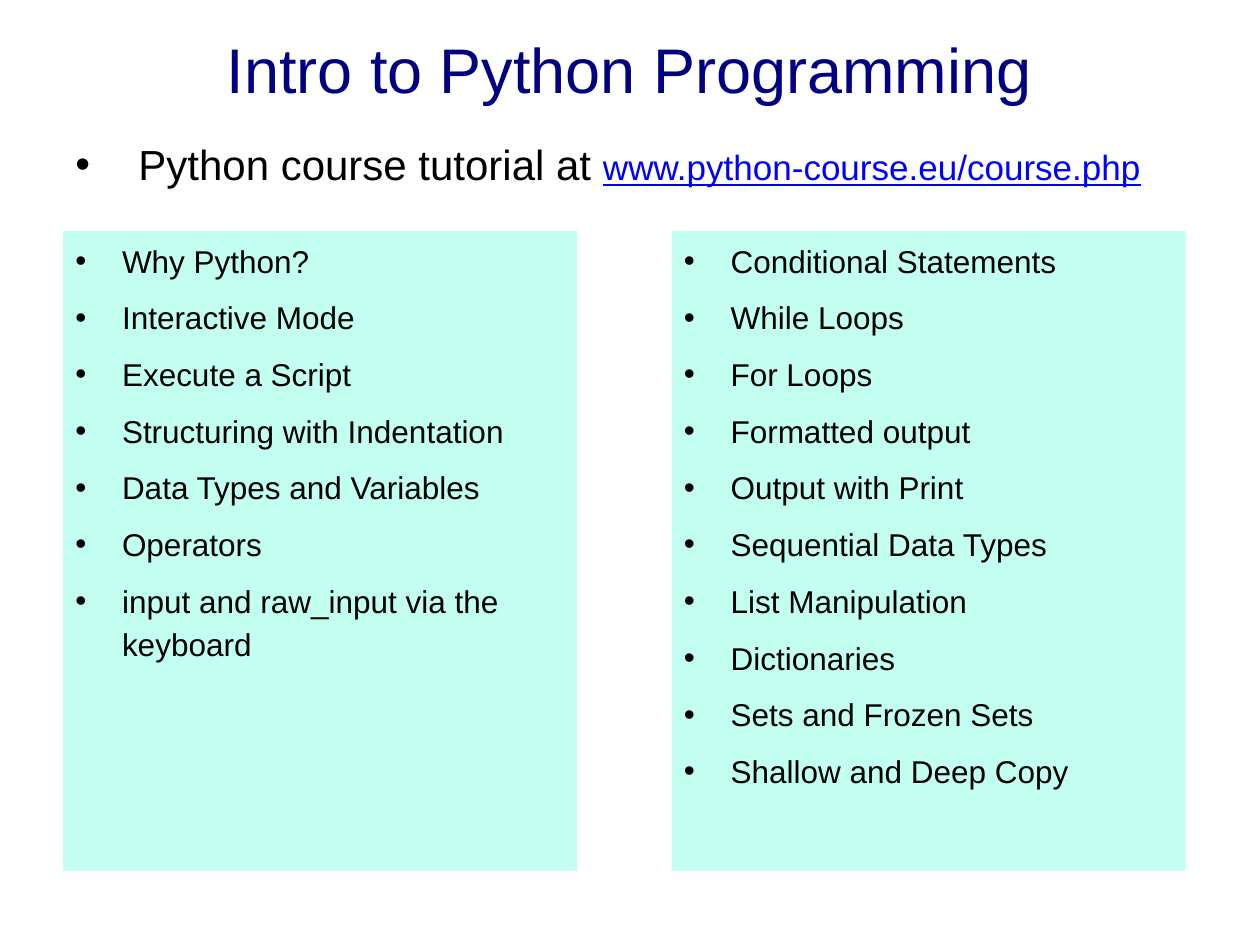
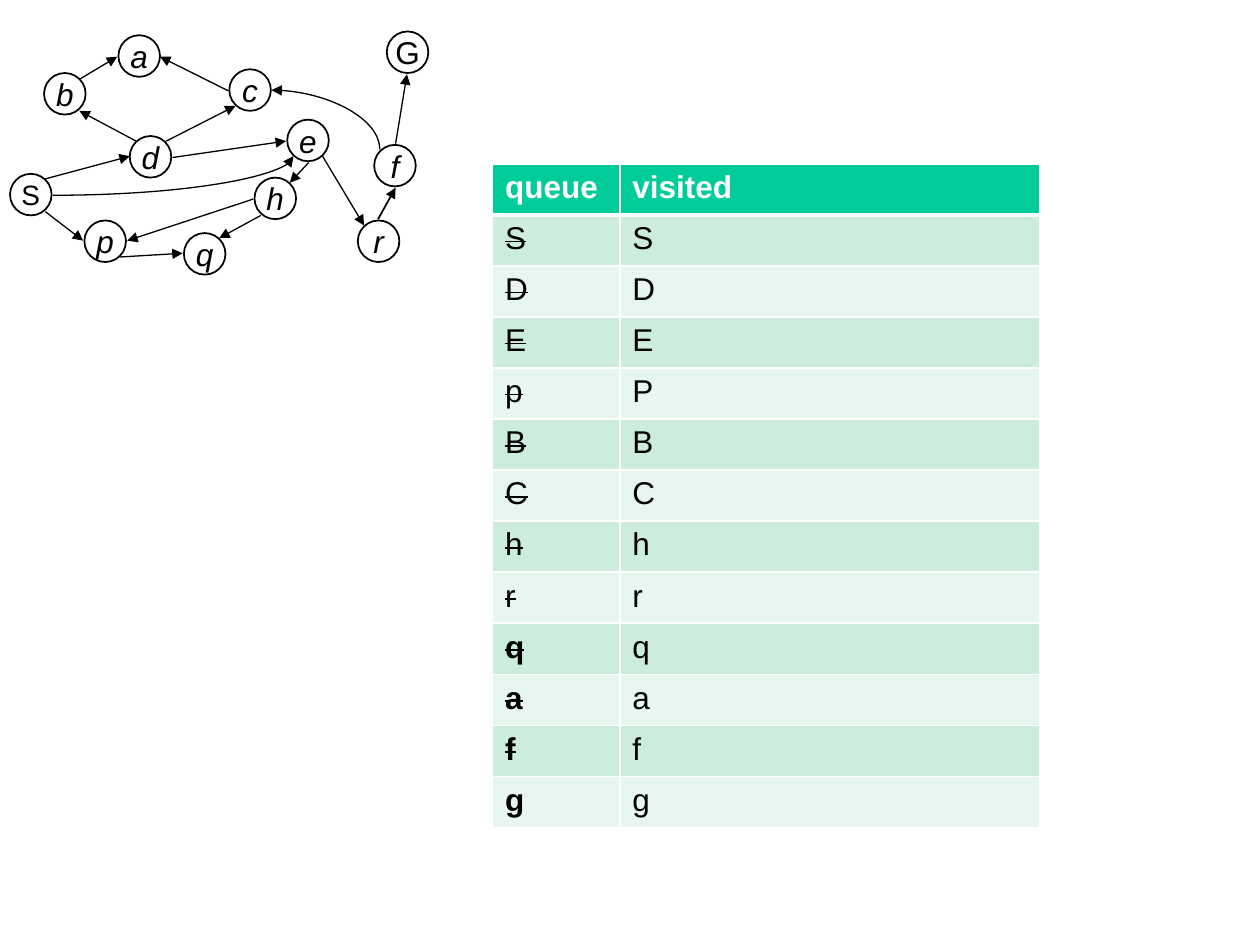
from lxml import etree
from pptx import Presentation, util as u
from pptx.dml.color import RGBColor
from pptx.enum import shapes, text
from pptx.oxml import ns

NAVY = RGBColor(0x00, 0x00, 0x80)
BLUE = RGBColor(0x00, 0x00, 0xFF)
BLACK = RGBColor(0x00, 0x00, 0x00)
WHITE = RGBColor(0xFF, 0xFF, 0xFF)
MINT = RGBColor(0xC2, 0xFF, 0xF0)
GREEN = RGBColor(0x00, 0xCC, 0x99)
BANDS = (RGBColor(0xCC, 0xEC, 0xDE), RGBColor(0xE7, 0xF6, 0xEF))
FONT = "Arial"
LINE_SPACING = 1.13
NODE = 0.33

TOPICS = (
    ("Why Python?", "Interactive Mode", "Execute a Script",
     "Structuring with Indentation", "Data Types and Variables", "Operators",
     "input and raw_input via the keyboard"),
    ("Conditional Statements", "While Loops", "For Loops", "Formatted output",
     "Output with Print", "Sequential Data Types", "List Manipulation",
     "Dictionaries", "Sets and Frozen Sets", "Shallow and Deep Copy"),
)
NODES = {
    "S": (0.08, 1.38), "G": (3.07, 0.25), "d": (1.03, 1.08), "b": (0.35, 0.58),
    "p": (0.67, 1.75), "q": (1.46, 1.85), "c": (1.82, 0.55), "e": (2.28, 0.95),
    "h": (2.02, 1.41), "a": (0.94, 0.28), "f": (2.97, 1.15), "r": (2.84, 1.75),
}
EDGES = (
    ((0.36, 1.68), (0.66, 1.91)),  # S to p
    ((0.95, 2.04), (1.45, 2.01)),  # p to q
    ((2.07, 1.71), (1.74, 1.89)),  # h to q
    ((2.01, 1.58), (1.01, 1.91)),  # h to p
    ((2.45, 1.29), (2.30, 1.45)),  # e to h
    ((2.56, 1.24), (2.89, 1.79)),  # e to r
    ((3.14, 1.14), (3.23, 0.59)),  # f to G
    ((0.36, 1.42), (1.03, 1.24)),  # S to d
    ((1.08, 1.12), (0.63, 0.88)),  # d to b
    ((0.63, 0.63), (0.93, 0.45)),  # b to a
    ((1.81, 0.72), (1.27, 0.45)),  # c to a
    ((1.32, 1.12), (1.87, 0.84)),  # d to c
    ((1.37, 1.25), (2.27, 1.12)),  # d to e
)
R_TO_F = ((3.00, 1.74), (3.14, 1.49))
QUEUE = "SDEpBChrqafg"
VISITED = "SDEPBChrqafg"


def add_xml(parent, tag, **attrs):
    return etree.SubElement(parent, ns.qn(tag), attrs)


def add_run(p, words, size=18, color=BLACK, bold=False, italic=False,
            underline=False, strike=False):
    r = p.add_run()
    r.text = words
    f = r.font
    f.name, f.size, f.bold, f.italic = FONT, u.Pt(size), bold, italic
    f.underline = underline
    f.color.rgb = color
    if strike:
        r._r.get_or_add_rPr().set("strike", "sngStrike")


def add_bullet(p, indent):
    p.line_spacing = LINE_SPACING
    p.space_before = u.Pt(8)
    p.alignment = text.PP_ALIGN.LEFT
    pPr = p._p.get_or_add_pPr()
    pPr.set("marL", str(u.Inches(indent)))
    pPr.set("indent", str(-u.Inches(indent)))
    add_xml(add_xml(pPr, "a:buClr"), "a:srgbClr", val=str(BLACK))
    add_xml(pPr, "a:buFont", typeface=FONT)
    add_xml(pPr, "a:buChar", char="•")


def add_border(cell, side, width):
    ln = add_xml(cell._tc.get_or_add_tcPr(), "a:ln" + side, w=str(u.Pt(width)))
    add_xml(add_xml(ln, "a:solidFill"), "a:srgbClr", val=str(WHITE))


class Deck:
    """Holds the presentation, its style and the current slide."""

    def __init__(self):
        self.prs = Presentation()
        self.prs.slide_width, self.prs.slide_height = u.Inches(10), u.Inches(7.5)
        self.s = None

    def new_slide(self):
        self.s = self.prs.slides.add_slide(self.prs.slide_layouts[6])
        self.s.background.fill.solid()
        self.s.background.fill.fore_color.rgb = WHITE

    def text_box(self, x, y, w, h):
        tf = self.s.shapes.add_textbox(*map(u.Inches, (x, y, w, h))).text_frame
        tf.word_wrap = True
        return tf

    def title(self, words):
        tf = self.text_box(0.5, 0.17, 8.99, 0.67)
        tf.vertical_anchor = text.MSO_ANCHOR.MIDDLE
        p = tf.paragraphs[0]
        p.alignment = text.PP_ALIGN.CENTER
        p.line_spacing = LINE_SPACING
        add_run(p, words, size=36, color=NAVY)

    def link_line(self, words, address):
        p = self.text_box(0.5, 1, 8.99, 0.67).paragraphs[0]
        add_bullet(p, 0.5)
        add_run(p, words, size=24)
        add_run(p, address, size=20, color=BLUE, underline=True)

    def shape(self, kind, x, y, w, h):
        sp = self.s.shapes.add_shape(kind, *map(u.Inches, (x, y, w, h)))
        sp.shadow.inherit = False
        sp.fill.background()
        sp.line.fill.background()
        return sp

    def topic_panel(self, x, topics):
        sp = self.shape(shapes.MSO_SHAPE.RECTANGLE, x, 1.83, 4.08, 5.08)
        sp.fill.solid()
        sp.fill.fore_color.rgb = MINT
        tf = sp.text_frame
        tf.word_wrap = True
        tf.vertical_anchor = text.MSO_ANCHOR.TOP
        for i, topic in enumerate(topics):
            p = tf.add_paragraph() if i else tf.paragraphs[0]
            add_bullet(p, 0.37)
            add_run(p, topic)

    def node(self, name, x, y):
        sp = self.shape(shapes.MSO_SHAPE.FLOWCHART_CONNECTOR, x, y, NODE, NODE)
        sp.line.color.rgb = BLACK
        sp.line.width = u.Pt(1)
        tf = sp.text_frame
        tf.word_wrap = False
        tf.vertical_anchor = text.MSO_ANCHOR.MIDDLE
        p = tf.paragraphs[0]
        p.alignment = text.PP_ALIGN.CENTER
        add_run(p, name, size=16 if name == "S" else 18, italic=name.islower())

    def arrow(self, start, end, width=0.75, kind=shapes.MSO_CONNECTOR.STRAIGHT):
        c = self.s.shapes.add_connector(kind, *map(u.Inches, start + end))
        c.line.color.rgb = BLACK
        c.line.width = u.Pt(width)
        add_xml(c.line._get_or_add_ln(), "a:tailEnd", type="triangle")
        add_xml(c._element.spPr, "a:effectLst")
        return c

    def curved_arrow(self, start, end, degrees=0):
        """Draw a quarter curve; start and end are given before rotation."""
        c = self.arrow(start, end, kind=shapes.MSO_CONNECTOR.CURVE)
        spPr = c._element.spPr
        spPr.find(ns.qn("a:prstGeom")).set("prst", "curvedConnector2")
        if degrees:
            spPr.find(ns.qn("a:xfrm")).set("rot", str(degrees * 60000))

    def cell(self, cell, words, fill, top=1, bottom=1, **fmt):
        for side, width in (("L", 1), ("R", 1), ("T", top), ("B", bottom)):
            add_border(cell, side, width)
        cell.fill.solid()
        cell.fill.fore_color.rgb = fill
        p = cell.text_frame.paragraphs[0]
        p.alignment = text.PP_ALIGN.LEFT
        add_run(p, words, **fmt)

    def search_table(self):
        rows = len(QUEUE) + 1
        tbl = self.s.shapes.add_table(
            rows, 2, *map(u.Inches, (3.91, 1.3, 4.34, 5.27))).table
        for col, width in zip(tbl.columns, (1.01, 3.33)):
            col.width = u.Inches(width)
        for row in tbl.rows:
            row.height = u.Inches(5.27 / rows)
        for j, heading in enumerate(("queue", "visited")):
            self.cell(tbl.cell(0, j), heading, GREEN, bottom=3,
                      color=WHITE, bold=True)
        for i, (queued, seen) in enumerate(zip(QUEUE, VISITED), 1):
            fill, top = BANDS[(i - 1) % 2], 3 if i == 1 else 1
            self.cell(tbl.cell(i, 0), queued, fill, top,
                      bold=queued in "qafg", strike=queued != "g")
            self.cell(tbl.cell(i, 1), seen, fill, top)


def course_slide(deck):
    deck.new_slide()
    deck.title("Intro to Python Programming")
    deck.link_line("Python course tutorial at ", "www.python-course.eu/course.php")
    for x, topics in zip((0.5, 5.33), TOPICS):
        deck.topic_panel(x, topics)


def search_slide(deck):
    deck.new_slide()
    for name, (x, y) in NODES.items():
        deck.node(name, x, y)
    for start, end in EDGES:
        deck.arrow(start, end)
    deck.arrow(*R_TO_F, width=1)
    deck.curved_arrow((2.82, 0.52), (2.35, 1.38), degrees=90)  # f to c
    deck.curved_arrow((0.42, 1.55), (2.33, 1.24))  # S to e
    deck.search_table()


def main():
    deck = Deck()
    course_slide(deck)
    search_slide(deck)
    deck.prs.save("out.pptx")


if __name__ == "__main__":
    main()
